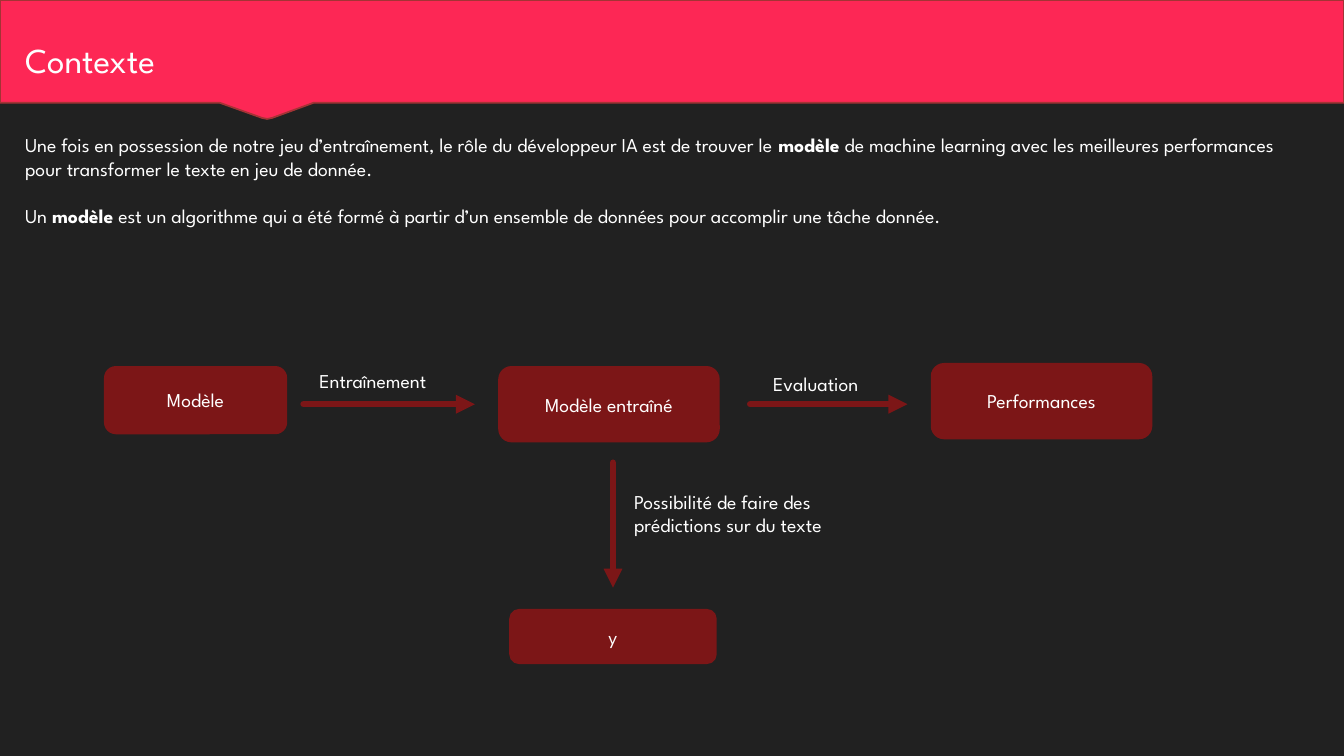
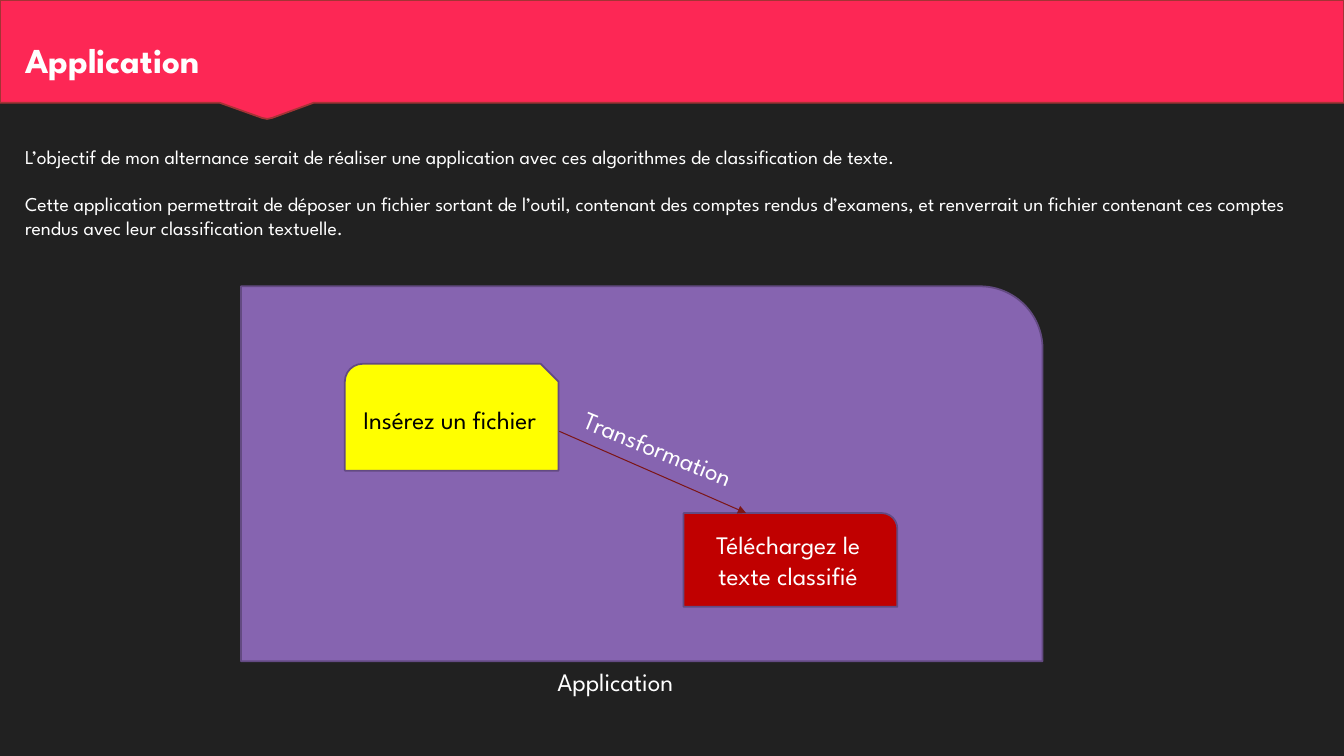
from dataclasses import dataclass

from lxml.etree import SubElement
from pptx import Presentation
from pptx.dml.color import RGBColor
from pptx.enum.shapes import MSO_CONNECTOR, MSO_SHAPE
from pptx.enum.text import MSO_ANCHOR as ANCHOR, PP_ALIGN as ALIGN
from pptx.oxml import parse_xml
from pptx.oxml.ns import nsdecls, qn
from pptx.util import Inches, Pt


@dataclass(frozen=True)
class Theme:
    font: str = "League Spartan"
    background: str = "212121"
    band: str = "FD2755"
    band_line: str = "A43335"
    title: str = "FEFEFE"
    text: str = "FFFFFF"
    dark_text: str = "000000"
    step: str = "7C1617"
    app: str = "8664B0"
    app_line: str = "634A82"
    upload: str = "FFFF00"
    download: str = "C00000"
    title_size: float = 25
    body_size: float = 14
    app_size: float = 18
    body_gap: float = 17
    outline: float = 1.25
    flow_arrow: float = 4.5
    thin_arrow: float = 0.75


@dataclass(frozen=True)
class Box:
    x: float
    y: float
    w: float
    h: float

    def inner(self, x, y, w, h):
        return Box(self.x + x, self.y + y, w, h)

    def point(self, x, y):
        return Inches(self.x + x), Inches(self.y + y)

    def lengths(self):
        return [Inches(v) for v in (self.x, self.y, self.w, self.h)]


THEME = Theme()
TEXT_SHADOW = (
    f'<a:effectLst {nsdecls("a")}><a:outerShdw blurRad="50800" dist="38100" '
    'dir="5400000" algn="t"><a:srgbClr val="000000"><a:alpha val="50000"/>'
    "</a:srgbClr></a:outerShdw></a:effectLst>"
)


def rgb(color):
    return RGBColor.from_string(color)


def write(tf, *paragraphs, size=THEME.body_size, color=THEME.text, bold=False,
          align=ALIGN.LEFT, anchor=ANCHOR.TOP, gap=0, shadow=False):
    tf.word_wrap = True
    tf.vertical_anchor = anchor
    for i, text in enumerate(paragraphs):
        p = tf.add_paragraph() if i else tf.paragraphs[0]
        p.alignment = align
        p.space_before = Pt(gap if i else 0)
        for j, part in enumerate(text.split("**")):
            r = p.add_run()
            r.text = part
            f = r.font
            f.name, f.size, f.bold = THEME.font, Pt(size), bold or j % 2 == 1
            f.color.rgb = rgb(color)
            if shadow:
                fill = r._r.rPr.find(qn("a:solidFill"))
                fill.addnext(parse_xml(TEXT_SHADOW))


def add_text(slide, box, *paragraphs, rotation=0, **fmt):
    sp = slide.shapes.add_textbox(*box.lengths())
    sp.rotation = rotation
    write(sp.text_frame, *paragraphs, **fmt)


def paint(sp, fill, line):
    sp.shadow.inherit = False
    sp.fill.solid()
    sp.fill.fore_color.rgb = rgb(fill)
    sp.line.color.rgb = rgb(line)
    sp.line.width = Pt(THEME.outline)


def add_block(slide, kind, box, fill, line, text="", **fmt):
    sp = slide.shapes.add_shape(kind, *box.lengths())
    paint(sp, fill, line)
    if text:
        write(sp.text_frame, text, align=ALIGN.CENTER, anchor=ANCHOR.MIDDLE, **fmt)


def add_arrow(slide, start, end, width):
    cxn = slide.shapes.add_connector(MSO_CONNECTOR.STRAIGHT, *start, *end)
    cxn.line.color.rgb = rgb(THEME.step)
    cxn.line.width = Pt(width)
    ln = cxn.line._ln
    ln.set("cap", "rnd")
    SubElement(ln, qn("a:tailEnd"), type="triangle")
    SubElement(cxn._element.spPr, qn("a:effectLst"))


def add_header(slide, box, title, bold=False):
    edge = box.h - 0.16
    outline = [(0, 0), (0, edge), (2.18, edge), (2.6, box.h - 0.01),
               (2.65, box.h), (2.7, box.h - 0.01), (3.11, edge), (box.w, edge)]
    builder = slide.shapes.build_freeform(*box.point(box.w, 0), scale=1.0)
    builder.add_line_segments([box.point(x, y) for x, y in outline], close=True)
    paint(builder.convert_to_shape(), THEME.band, THEME.band_line)
    add_text(slide, box.inner(0.15, 0.16, 10.79, 0.69), title, bold=bold,
             size=THEME.title_size, color=THEME.title, anchor=ANCHOR.BOTTOM,
             shadow=True)


def add_flow(slide, box):
    steps = [
        ("Modèle", (0, 0.03, 1.8, 0.66)),
        ("Modèle entraîné", (3.91, 0.03, 2.18, 0.74)),
        ("Performances", (8.2, 0, 2.18, 0.74)),
        ("y", (4.02, 2.44, 2.04, 0.53)),
    ]
    arrows = [((1.97, 0.4), (3.67, 0.4)), ((6.4, 0.4), (7.96, 0.4)),
              ((5.04, 0.98), (5.04, 2.22))]
    labels = [
        ("Entraînement", (2.03, 0, 2.5, 0.34)),
        ("Evaluation", (6.53, 0.03, 2.5, 0.34)),
        ("Possibilité de faire des prédictions sur du texte", (5.15, 1.2, 2.5, 0.57)),
    ]
    for text, place in steps:
        add_block(slide, MSO_SHAPE.ROUNDED_RECTANGLE, box.inner(*place),
                  THEME.step, THEME.step, text)
    for start, end in arrows:
        add_arrow(slide, box.point(*start), box.point(*end), THEME.flow_arrow)
    for text, place in labels:
        add_text(slide, box.inner(*place), text)


def add_app(slide, box):
    size = THEME.app_size
    add_block(slide, MSO_SHAPE.ROUND_1_RECTANGLE, box, THEME.app, THEME.app_line)
    add_text(slide, box.inner(3.04, box.h, 5.42, 0.4), "Application", size=size)
    add_block(slide, MSO_SHAPE.SNIP_ROUND_RECTANGLE, box.inner(1.03, 0.77, 2.12, 1.06),
              THEME.upload, THEME.app_line, "Insérez un fichier",
              size=size, color=THEME.dark_text)
    add_block(slide, MSO_SHAPE.ROUND_1_RECTANGLE, box.inner(4.39, 2.25, 2.12, 0.93),
              THEME.download, THEME.app_line, "Téléchargez le texte classifié", size=size)
    add_text(slide, box.inner(3.25, 1.46, 2.03, 0.4), "Transformation",
             size=size, rotation=22.2)
    add_arrow(slide, box.point(3.16, 1.44), box.point(5.01, 2.25), THEME.thin_arrow)


def add_slide(prs, title, body_box, body, bold=False):
    slide = prs.slides.add_slide(prs.slide_layouts[6])
    slide.background.fill.solid()
    slide.background.fill.fore_color.rgb = rgb(THEME.background)
    add_header(slide, Box(0, 0, 13.33, 1.18), title, bold)
    add_text(slide, body_box, *body, gap=THEME.body_gap)
    return slide


def main():
    prs = Presentation()
    prs.slide_width, prs.slide_height = Inches(13.33), Inches(7.5)

    context = add_slide(prs, "Contexte", Box(0.15, 1.27, 12.7, 1.04), [
        "Une fois en possession de notre jeu d’entraînement, le rôle du développeur IA "
        "est de trouver le **modèle** de machine learning avec les meilleures "
        "performances pour transformer le texte en jeu de donnée.",
        "Un **modèle** est un algorithme qui a été formé à partir d’un ensemble de "
        "données pour accomplir une tâche donnée.",
    ])
    add_flow(context, Box(1.04, 3.61, 10.38, 2.97))

    application = add_slide(prs, "Application", Box(0.15, 1.39, 12.78, 1.04), [
        "L’objectif de mon alternance serait de réaliser une application avec ces "
        "algorithmes de classification de texte.",
        "Cette application permettrait de déposer un fichier sortant de l’outil, contenant "
        "des comptes rendus d’examens, et renverrait un fichier contenant ces comptes "
        "rendus avec leur classification textuelle.",
    ], bold=True)
    add_app(application, Box(2.39, 2.84, 7.95, 3.72))

    prs.save("out.pptx")


if __name__ == "__main__":
    main()
